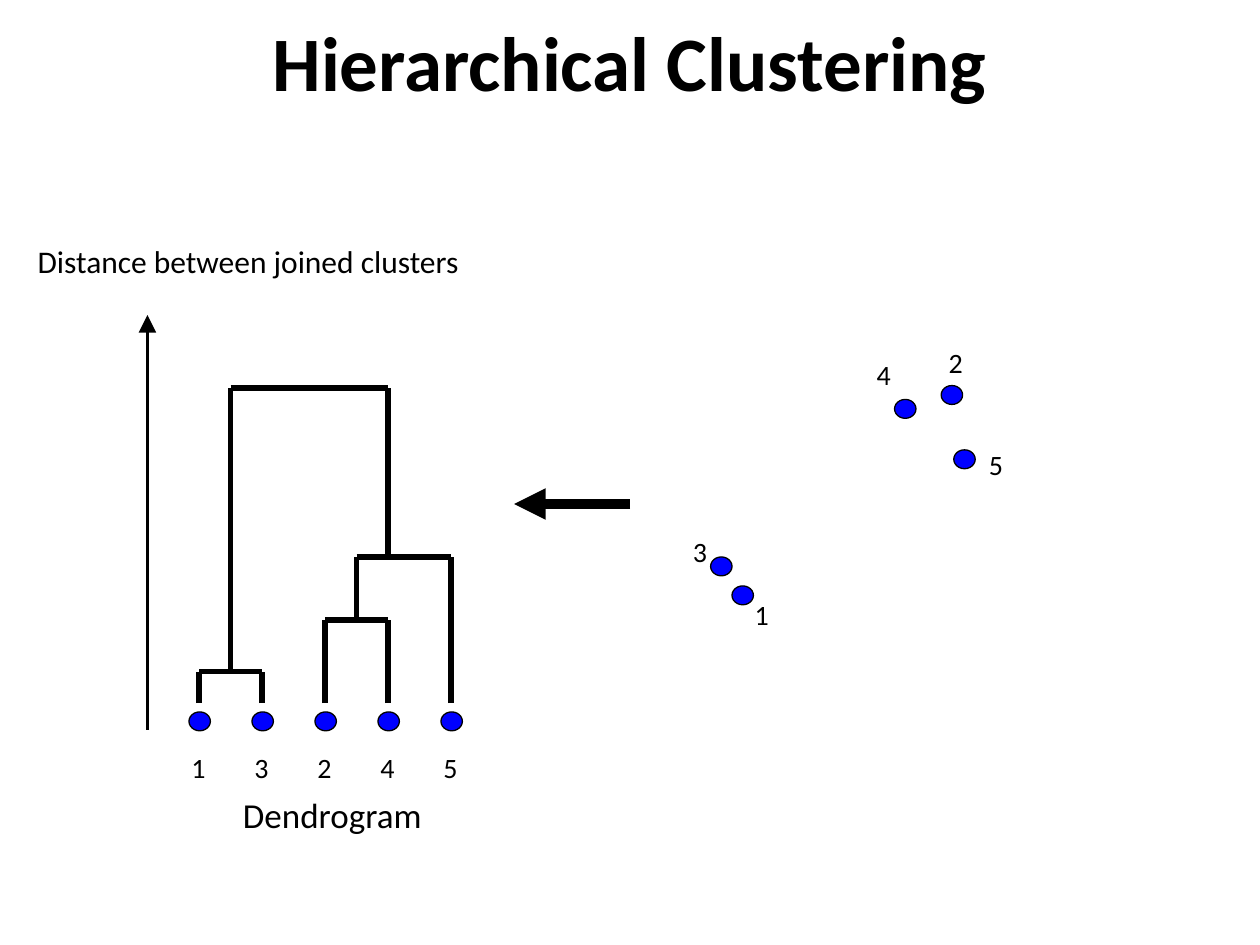
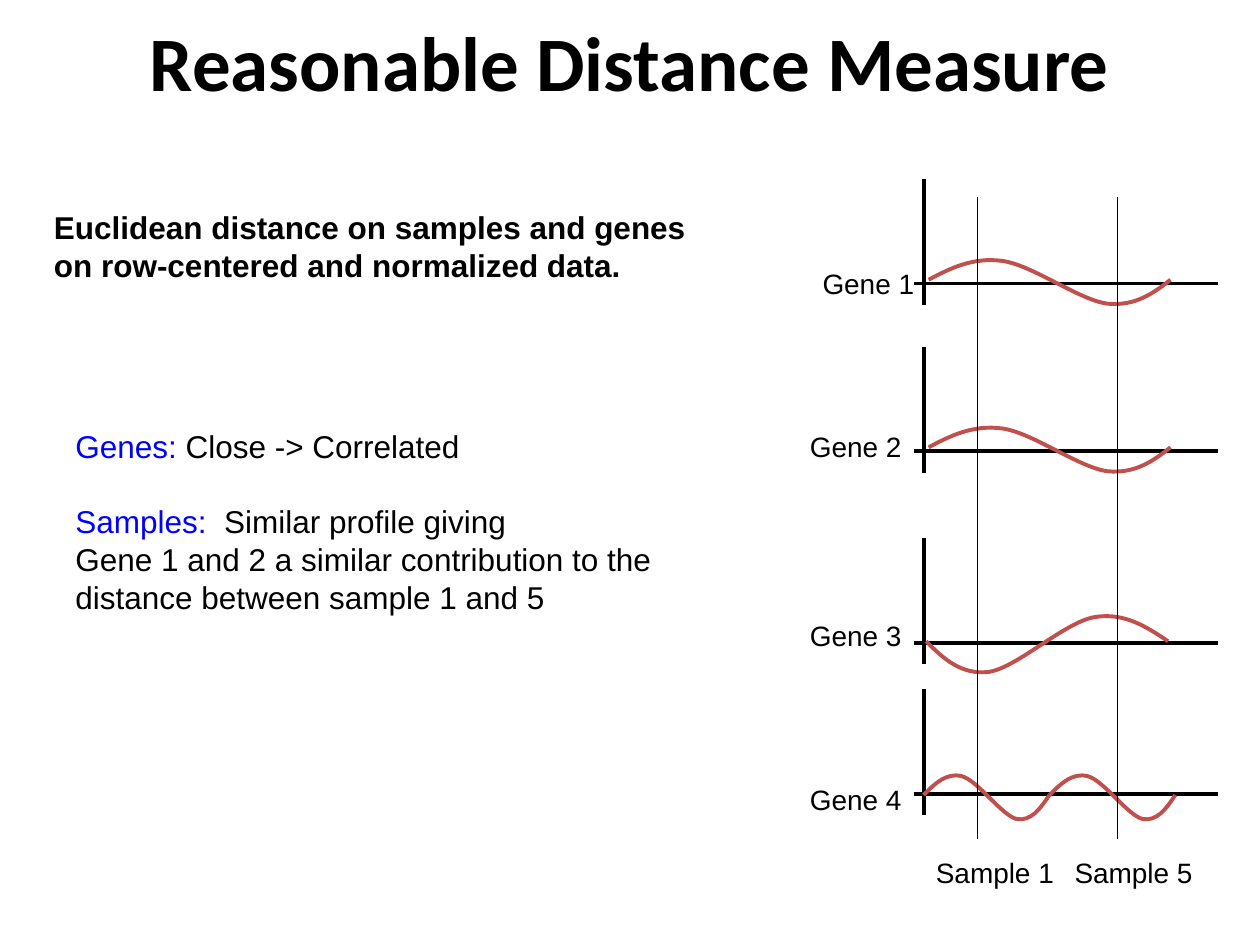
from pptx import Presentation
from pptx.dml.color import RGBColor
from pptx.enum import shapes, text
from pptx.oxml import ns, xmlchemy
from pptx.util import Inches, Pt

BLACK, BLUE, RED = "000000", "0000FF", "C0504D"
HEADING_FONT, BODY_FONT = "Calibri", "Arial"
LEAF_TOP = 5.58
POINTS = [("2", 7.47, 3.06, 7.43, 2.69), ("4", 7.1, 3.17, 6.86, 2.79),
          ("5", 7.57, 3.57, 7.75, 3.5), ("1", 5.81, 4.65, 5.89, 4.69),
          ("3", 5.64, 4.42, 5.4, 4.19)]
WAVE = [(0, 0), (0.17, -0.09), (0.35, -0.18), (0.58, -0.15), (0.82, -0.12),
        (1.19, 0.16), (1.42, 0.19), (1.64, 0.21), (1.78, 0.11), (1.92, 0)]
GENES = [("Gene 1", 6.43, 2.07, 2.25, [(7.37, 2.22, 1, 1)]),
         ("Gene 2", 6.33, 3.36, 3.58, [(7.37, 3.55, 1, 1)]),
         ("Gene 3", 6.33, 4.86, 5.1, [(9.27, 5.09, -1, 1.28)]),
         ("Gene 4", 6.33, 6.16, 6.3,
          [(7.33, 6.31, 0.52, 1), (8.33, 6.31, 0.52, 1)])]
SAMPLES = [("Sample 1", 7.76, 7.33), ("Sample 5", 8.87, 8.43)]
FINDINGS = [("Genes: ", ["Close -> Correlated"]),
            ("Samples:", ["  Similar profile giving",
                          "Gene 1 and 2 a similar contribution to the "
                          "distance between sample 1 and 5"])]


def color(value):
    """Turn a hex string into a colour."""
    return RGBColor.from_string(value)


def style_run(run, size, font, hex_color=BLACK, bold=False):
    """Set the font of one run."""
    run.font.size, run.font.name, run.font.bold = Pt(size), font, bold
    run.font.color.rgb = color(hex_color)


def add_titled_slide(presentation, title):
    """Add a title-only slide with the shared title style."""
    slide = presentation.slides.add_slide(presentation.slide_layouts[5])
    shape = slide.shapes.title
    shape.left, shape.top = Inches(0), Inches(0.12)
    shape.width, shape.height = Inches(10), Inches(0.72)
    frame = shape.text_frame
    frame.text = title
    frame.vertical_anchor = text.MSO_ANCHOR.MIDDLE
    frame.paragraphs[0].alignment = text.PP_ALIGN.CENTER
    style_run(frame.paragraphs[0].runs[0], 44, HEADING_FONT, bold=True)
    return slide


def add_text_box(slide, left, top, width, height, wrap=False):
    """Add an empty text box and return its frame."""
    box = slide.shapes.add_textbox(
        Inches(left), Inches(top), Inches(width), Inches(height))
    frame = box.text_frame
    frame.word_wrap = wrap
    frame.auto_size = text.MSO_AUTO_SIZE.SHAPE_TO_FIT_TEXT
    return frame


def add_label(slide, words, left, top, width=0.32, height=0.37, size=16,
              font=HEADING_FONT, bold=False, wrap=False):
    """Add a text box with one style throughout."""
    frame = add_text_box(slide, left, top, width, height, wrap)
    frame.text = words
    style_run(frame.paragraphs[0].runs[0], size, font, bold=bold)


def add_line(slide, start, end, width, arrow_size=None):
    """Draw a straight black line, with an arrowhead of the given size if any."""
    line = slide.shapes.add_connector(
        shapes.MSO_CONNECTOR.STRAIGHT, *map(Inches, start + end))
    line.line.width = Pt(width)
    line.line.color.rgb = color(BLACK)
    properties = line.element.spPr
    if arrow_size:
        tail = xmlchemy.OxmlElement("a:tailEnd")
        tail.set("type", "triangle")
        tail.set("w", arrow_size)
        tail.set("len", arrow_size)
        properties.find(ns.qn("a:ln")).append(tail)
    properties.append(xmlchemy.OxmlElement("a:effectLst"))


def add_dot(slide, left, top):
    """Draw one blue data point."""
    dot = slide.shapes.add_shape(
        shapes.MSO_SHAPE.OVAL, Inches(left), Inches(top), Inches(0.17), Inches(0.15))
    dot.shadow.inherit = False
    dot.fill.solid()
    dot.fill.fore_color.rgb = color(BLUE)
    dot.line.color.rgb = color(BLACK)
    dot.line.width = Pt(0.75)


def join_clusters(slide, first, second, height):
    """Draw the bracket joining two clusters and return the merged cluster."""
    tops = []
    for leaves, base in (first, second):
        center = sum(leaves) / len(leaves)
        add_line(slide, (center, base), (center, height), 3)
        tops.append((center, height))
    add_line(slide, *tops, 3)
    return first[0] + second[0], height


def add_dendrogram(slide):
    """Draw the leaves, their labels and the joins above them."""
    clusters = {}
    for index, name in enumerate("13245"):
        center = 1.58 + 0.5 * index
        add_dot(slide, center - 0.08, 5.65)
        add_label(slide, name, center - 0.16, 5.91)
        clusters[name] = ([center], LEAF_TOP)
    pair_13 = join_clusters(slide, clusters["1"], clusters["3"], 5.33)
    pair_24 = join_clusters(slide, clusters["2"], clusters["4"], 4.92)
    group_245 = join_clusters(slide, pair_24, clusters["5"], 4.42)
    join_clusters(slide, pair_13, group_245, 3.08)


def bend_segments(shape):
    """Turn each three line segments of a freeform into one Bezier curve."""
    segments = list(shape.element.iter(ns.qn("a:lnTo")))
    for first in range(0, len(segments), 3):
        curve = xmlchemy.OxmlElement("a:cubicBezTo")
        segments[first].addprevious(curve)
        for segment in segments[first:first + 3]:
            curve.append(segment[0])
            segment.getparent().remove(segment)


def add_wave(slide, left, top, scale_x, scale_y):
    """Draw one expression curve from its starting point."""
    points = [(Inches(left + x * scale_x), Inches(top + y * scale_y))
              for x, y in WAVE]
    builder = slide.shapes.build_freeform(*points[0])
    builder.add_line_segments(points[1:], close=False)
    wave = builder.convert_to_shape()
    bend_segments(wave)
    wave.shadow.inherit = False
    wave.fill.background()
    wave.line.color.rgb = color(RED)
    wave.line.width = Pt(2.25)


def add_gene_plot(slide, name, label_left, label_top, axis, waves):
    """Draw the axes, curve and label of one gene."""
    add_line(slide, (7.33, axis - 0.83), (7.33, axis + 0.17), 2.25)
    add_line(slide, (7.25, axis), (9.67, axis), 2.25)
    for wave in waves:
        add_wave(slide, *wave)
    add_label(slide, name, label_left, label_top, 0.93, font=BODY_FONT)


def add_findings(slide):
    """Write the findings, each led by a blue term."""
    frame = add_text_box(slide, 0.5, 3.34, 4.8, 2.52, wrap=True)
    for index, (term, lines) in enumerate(FINDINGS):
        paragraph = frame.add_paragraph() if index else frame.paragraphs[0]
        paragraph.space_before = Pt(21.5 if index else 0)
        paragraph.text = term
        style_run(paragraph.runs[0], 18, BODY_FONT, BLUE)
        for number, line in enumerate(lines):
            if number:
                paragraph.add_line_break()
            run = paragraph.add_run()
            run.text = line
            style_run(run, 18, BODY_FONT)


def build_clustering_slide(presentation):
    """Build the slide with the dendrogram and the scattered points."""
    slide = add_titled_slide(presentation, "Hierarchical Clustering")
    for name, left, top, label_left, label_top in POINTS:
        add_dot(slide, left, top)
        add_label(slide, name, label_left, label_top)
    add_dendrogram(slide)
    add_line(slide, (1.17, 5.79), (1.17, 2.5), 2, arrow_size="lg")
    add_label(slide, "Distance between joined clusters", 0.2, 1.87, 3.86, 0.4, 18)
    add_label(slide, "Dendrogram", 1.83, 6.25, 1.74, 0.43, 20)
    add_line(slide, (5, 4), (4.08, 4), 6, arrow_size="med")


def build_distance_slide(presentation):
    """Build the slide with the gene profiles and findings."""
    slide = add_titled_slide(presentation, "Reasonable Distance Measure")
    for gene in GENES:
        add_gene_plot(slide, *gene)
    for name, x, label_left in SAMPLES:
        add_line(slide, (x, 1.56), (x, 6.66), 0.75)
        add_label(slide, name, label_left, 6.74, 1.14, font=BODY_FONT)
    add_findings(slide)
    add_label(slide, "Euclidean distance on samples and genes on row-centered "
              "and normalized data.", 0.33, 1.6, 5.33, 1.3, 18, BODY_FONT,
              bold=True, wrap=True)


def main():
    """Build and save the presentation."""
    presentation = Presentation()
    presentation.slide_width, presentation.slide_height = Inches(10), Inches(7.5)
    build_clustering_slide(presentation)
    build_distance_slide(presentation)
    presentation.save("out.pptx")


if __name__ == "__main__":
    main()
